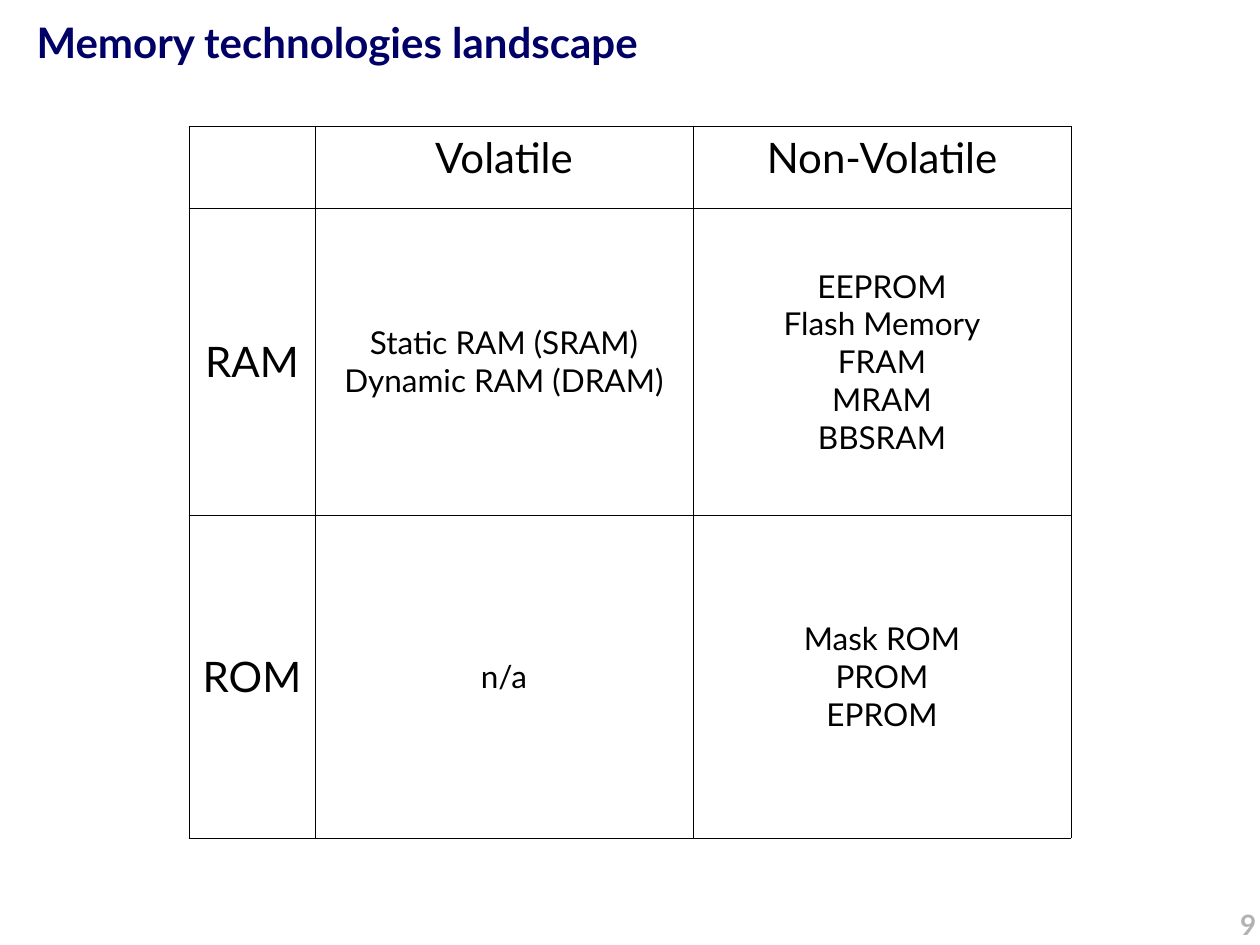
from lxml import etree
from pptx import Presentation
from pptx.dml.color import RGBColor
from pptx.enum.text import MSO_ANCHOR, PP_ALIGN
from pptx.oxml.ns import qn
from pptx.util import Pt

LEFT, CENTER, RIGHT = PP_ALIGN.LEFT, PP_ALIGN.CENTER, PP_ALIGN.RIGHT
TOP, MIDDLE = MSO_ANCHOR.TOP, MSO_ANCHOR.MIDDLE

NAVY = RGBColor(0x00, 0x00, 0x66)
GRAY = RGBColor(0xB2, 0xB2, 0xB2)
BLACK = RGBColor(0x00, 0x00, 0x00)

TITLE_ONLY = 5
COLUMN_WIDTHS = (72, 216, 216)
ROW_HEIGHTS = (46.8, 175.5, 184.5)
TECHNOLOGIES = (
    ("", "Volatile", "Non-Volatile"),
    (
        "RAM",
        "Static RAM (SRAM)\nDynamic RAM (DRAM)",
        "EEPROM\nFlash Memory\nFRAM\nMRAM\nBBSRAM",
    ),
    ("ROM", "n/a", "Mask ROM\nPROM\nEPROM"),
)


class SlideBuilder:
    font_name = "Lato"
    border_width = 0.45

    def __init__(self, page):
        self.page = page

    def fill_text(self, frame, text, align, size, color, bold=False):
        frame.text = text
        font_format = {"name": self.font_name, "size": Pt(size), "bold": bold}
        for paragraph in frame.paragraphs:
            paragraph.alignment = align
            for span in paragraph.runs:
                for key, value in font_format.items():
                    setattr(span.font, key, value)
                span.font.color.rgb = color

    def title(self, text, left, top, width, height):
        box = self.page.shapes.title
        position = {"left": left, "top": top, "width": width, "height": height}
        for key, value in position.items():
            setattr(box, key, Pt(value))
        box.text_frame.vertical_anchor = TOP
        self.fill_text(box.text_frame, text, LEFT, 24, NAVY, bold=True)

    def page_number(self, text, left, top, width, height):
        box = self.page.shapes.add_textbox(
            Pt(left), Pt(top), Pt(width), Pt(height)
        )
        box.text_frame.word_wrap = True
        self.fill_text(box.text_frame, text, RIGHT, 16, GRAY, bold=True)

    def border(self, cell):
        properties = cell._tc.get_or_add_tcPr()
        for index, side in enumerate(("lnL", "lnR", "lnT", "lnB")):
            line = etree.Element(qn(f"a:{side}"), w=str(Pt(self.border_width)))
            fill = etree.SubElement(line, qn("a:solidFill"))
            etree.SubElement(fill, qn("a:srgbClr"), val=str(BLACK))
            properties.insert(index, line)

    def table(self, rows, left, top, widths, heights):
        table = self.page.shapes.add_table(
            len(heights), len(widths), Pt(left), Pt(top),
            Pt(sum(widths)), Pt(sum(heights)),
        ).table
        table.first_row = False
        table.horz_banding = False
        for column, width in zip(table.columns, widths):
            column.width = Pt(width)
        for row, height in zip(table.rows, heights):
            row.height = Pt(height)
        for row_index, texts in enumerate(rows):
            for column_index, text in enumerate(texts):
                cell = table.cell(row_index, column_index)
                heading = row_index == 0 or column_index == 0
                size = 24 if heading else 18
                cell.fill.background()
                cell.vertical_anchor = TOP if row_index == 0 else MIDDLE
                self.border(cell)
                self.fill_text(cell.text_frame, text, CENTER, size, BLACK)


def main():
    deck = Presentation()
    deck.slide_width, deck.slide_height = Pt(720), Pt(540)
    builder = SlideBuilder(deck.slides.add_slide(deck.slide_layouts[TITLE_ONLY]))
    builder.page_number("9", 496.8, 514.8, 228.24, 36)
    builder.title("Memory technologies landscape", 13.68, 5.76, 699.12, 72)
    builder.table(TECHNOLOGIES, 108, 72, COLUMN_WIDTHS, ROW_HEIGHTS)
    deck.save("out.pptx")


if __name__ == "__main__":
    main()
